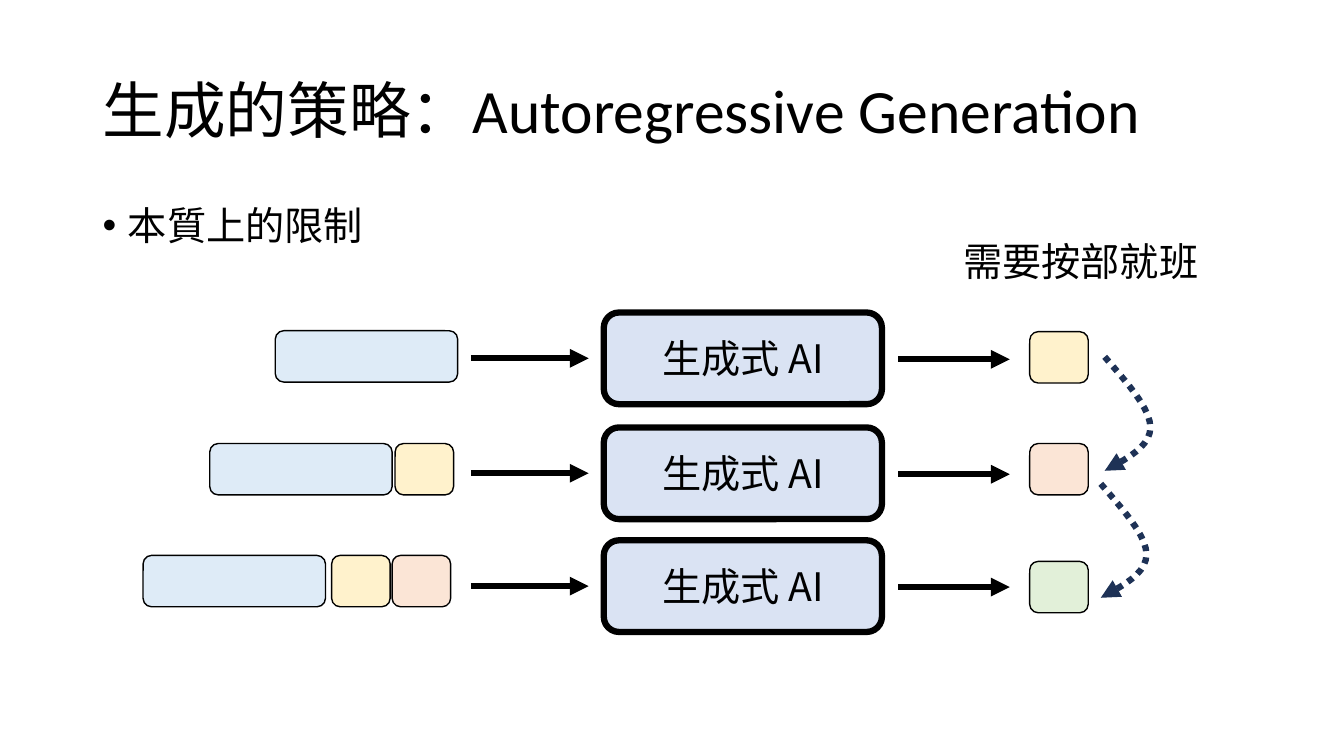
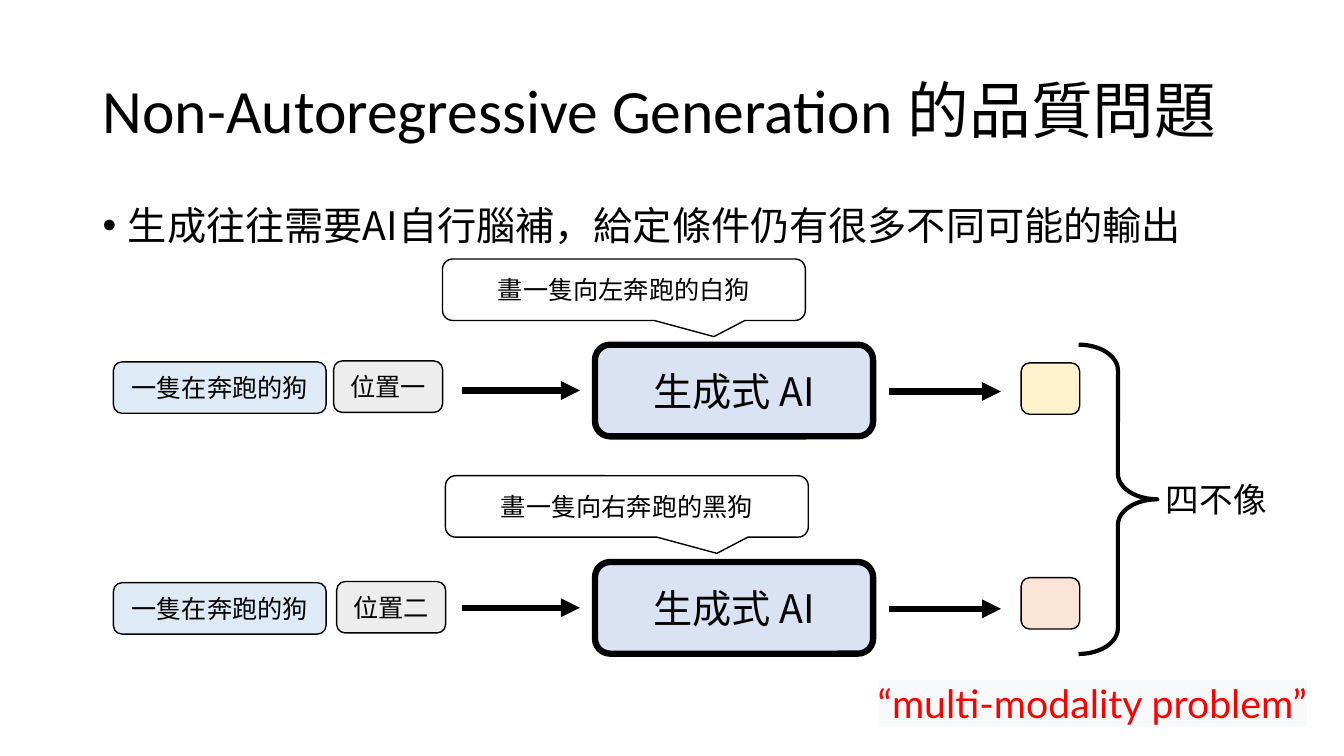
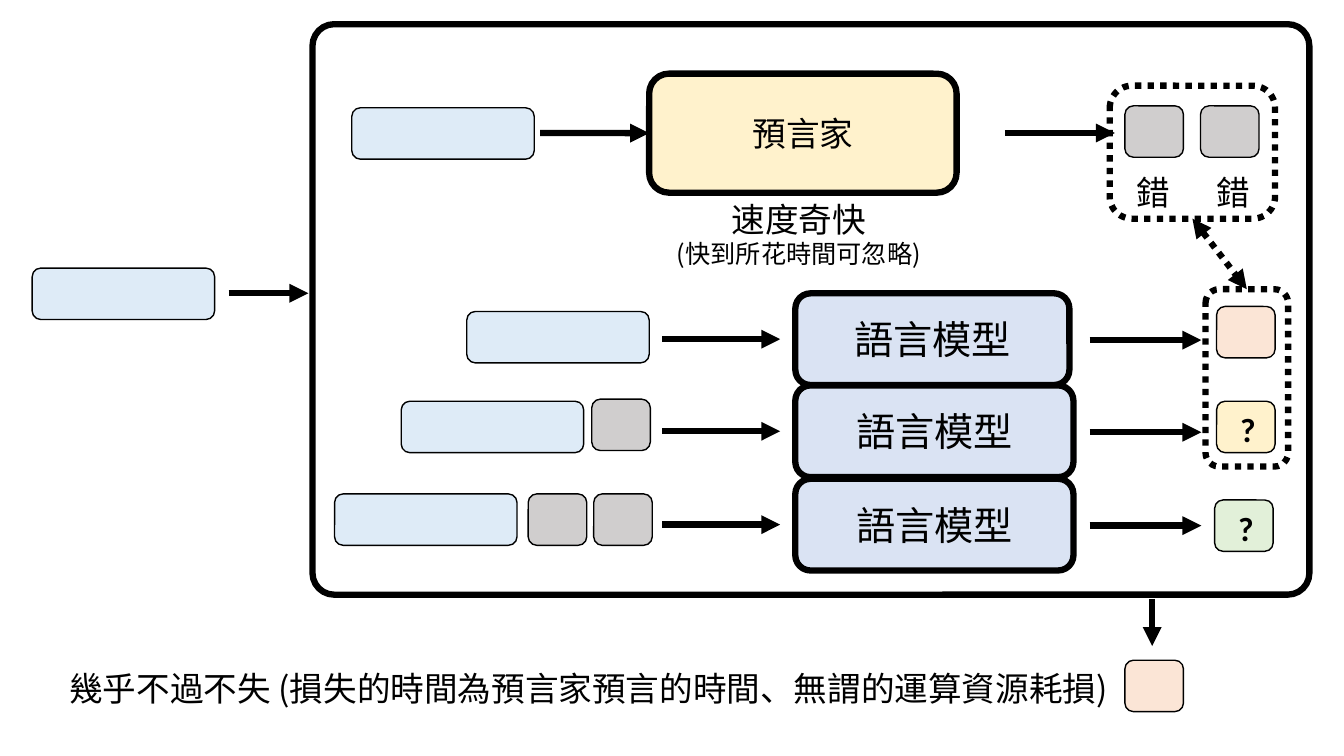
from lxml import etree
from pptx import Presentation
from pptx.dml.color import RGBColor
from pptx.enum import dml, shapes, text
from pptx.oxml.ns import qn
from pptx.util import Pt

# Shared colours, fonts and sizes
BLACK = RGBColor(0x00, 0x00, 0x00)
RED = RGBColor(0xFF, 0x00, 0x00)
NAVY = RGBColor(0x1E, 0x32, 0x56)
BLUE = RGBColor(0xDE, 0xEB, 0xF7)
LAVENDER = RGBColor(0xDA, 0xE3, 0xF3)
YELLOW = RGBColor(0xFF, 0xF2, 0xCC)
ORANGE = RGBColor(0xFB, 0xE5, 0xD6)
GREEN = RGBColor(0xE2, 0xF0, 0xD9)
PALE_GRAY = RGBColor(0xED, 0xED, 0xED)
GRAY = RGBColor(0xD0, 0xCE, 0xCE)
HIGHLIGHT = RGBColor(0xF8, 0xF9, 0xFA)
CJK, LATIN = "Noto Sans CJK SC", "Calibri"
ROUND = shapes.MSO_SHAPE.ROUNDED_RECTANGLE
CALLOUT = shapes.MSO_SHAPE.ROUNDED_RECTANGULAR_CALLOUT
BRACE = shapes.MSO_SHAPE.RIGHT_BRACE
CENTER, LEFT = text.PP_ALIGN.CENTER, text.PP_ALIGN.LEFT
DOTS = dml.MSO_LINE.ROUND_DOT
THICK = 4.5
TOKEN_W, PROMPT_W, BLOCK_H = 41.8, 130.3, 36.7
MODEL_W, MODEL_H = 198.7, 65.5


def write(p, words, size, name=CJK, color=BLACK, **extra):
    r = p.add_run()
    r.text = words
    r.font.color.rgb = color
    for key, value in {"size": Pt(size), "name": name, **extra}.items():
        setattr(r.font, key, value)
    etree.SubElement(r._r.get_or_add_rPr(), qn("a:ea"), typeface=CJK)
    return r


def box(s, kind, x, y, w, h, fill=None, words="", size=28, line=1,
        dash=None, adj=(), align=CENTER, **fmt):
    """Add a preset shape, or a text box when kind is None."""
    place = Pt(x), Pt(y), Pt(w), Pt(h)
    if kind is None:
        sp = s.shapes.add_textbox(*place)
    else:
        sp = s.shapes.add_shape(kind, *place)
        sp.shadow.inherit = False
        sp.line.color.rgb = BLACK
        sp.line.width = Pt(line)
        if dash:
            sp.line.dash_style = dash
        if fill is None:
            sp.fill.background()
        else:
            sp.fill.solid()
            sp.fill.fore_color.rgb = fill
        for i, value in enumerate(adj):
            sp.adjustments[i] = value
        sp.text_frame.vertical_anchor = text.MSO_ANCHOR.MIDDLE
    sp.text_frame.word_wrap = True
    if words:
        p = sp.text_frame.paragraphs[0]
        p.alignment = align
        write(p, words, size, **fmt)
    return sp


prs = Presentation()
prs.slide_width, prs.slide_height = Pt(960), Pt(540)

# Titles and bullets
HEADS = [
    ([("生成的策略：", CJK), ("Autoregressive Generation", LATIN)],
     "本質上的限制"),
    ([("Non-Autoregressive Generation ", LATIN), ("的品質問題", CJK)],
     "生成往往需要AI自行腦補，給定條件仍有很多不同可能的輸出"),
]
for title, bullet in HEADS:
    s = prs.slides.add_slide(prs.slide_layouts[1])
    for sp, top, height, runs, size, anchor in (
            (s.shapes.title, 28.8, 104.4, title, 44, text.MSO_ANCHOR.MIDDLE),
            (s.placeholders[1], 144, 342.7, [(bullet, CJK)], 28, text.MSO_ANCHOR.TOP)):
        sp.left, sp.top, sp.width, sp.height = Pt(66.2), Pt(top), Pt(828), Pt(height)
        tf = sp.text_frame
        tf.auto_size = text.MSO_AUTO_SIZE.NONE
        tf.vertical_anchor = anchor
        p = tf.paragraphs[0]
        for key, value in {"alignment": LEFT, "line_spacing": 0.9,
                           "space_before": Pt(0)}.items():
            setattr(p, key, value)
        for words, name in runs:
            write(p, words, size, name)
    pPr = p._p.get_or_add_pPr()
    pPr.set("marL", str(Pt(18)))
    pPr.set("indent", str(Pt(-18)))
auto, nonauto = prs.slides
oracle = prs.slides.add_slide(prs.slide_layouts[6])

# Model boxes, each with an arrow in and an arrow out
arrows = []
for s, x, y, w, label in (
        (auto, 431.3, 223.2, MODEL_W, "生成式 AI"),
        (auto, 431.3, 305.3, MODEL_W, "生成式 AI"),
        (auto, 431.3, 385.9, MODEL_W, "生成式 AI"),
        (nonauto, 425, 246.2, MODEL_W, "生成式 AI"),
        (nonauto, 425, 401.4, MODEL_W, "生成式 AI"),
        (oracle, 568.1, 209.5, 195.8, "語言模型"),
        (oracle, 568.1, 275.3, MODEL_W, "語言模型"),
        (oracle, 568.1, 342, MODEL_W, "語言模型")):
    box(s, ROUND, x, y, w, MODEL_H, LAVENDER, label, line=THICK)
    mid = y + MODEL_H / 2
    arrows += [(s, x - 95, mid, x - 10.8, mid),
               (s, x + 210.2, mid + 0.7, x + 290, mid + 0.7)]

# Prompts without text
for s, x, y in ((auto, 196.6, 236.2), (auto, 149.8, 316.8), (auto, 102.2, 396.7),
                (oracle, 251.3, 77), (oracle, 333.4, 222.5), (oracle, 286.6, 286.6),
                (oracle, 239, 352.8), (oracle, 23, 191.5)):
    box(s, ROUND, x, y, PROMPT_W, BLOCK_H, BLUE)

# Tokens
for s, x, y, fill in (
        (auto, 282.2, 316.8, YELLOW), (auto, 236.9, 396.7, YELLOW),
        (auto, 280.1, 396.7, ORANGE), (auto, 735.5, 236.9, YELLOW),
        (auto, 735.5, 316.8, ORANGE), (auto, 735.5, 401, GREEN),
        (nonauto, 729.4, 259.2, YELLOW), (nonauto, 729.4, 412.6, ORANGE),
        (oracle, 803.5, 75.6, GRAY), (oracle, 857.5, 75.6, GRAY),
        (oracle, 422.7, 285.1, GRAY), (oracle, 377.3, 352.8, GRAY),
        (oracle, 424.1, 352.8, GRAY), (oracle, 869, 218.9, ORANGE),
        (oracle, 869, 286.6, YELLOW), (oracle, 867.6, 357.1, GREEN),
        (oracle, 803.5, 471.6, ORANGE)):
    box(s, ROUND, x, y, TOKEN_W, BLOCK_H, fill)

# Slide 1: note and curved arrows between outputs
box(auto, None, 681.1, 166.3, 201.6, 41, words="需要按部就班", align=LEFT)
lines = []
STEPS = 10
for x, y in ((789.1, 254.9), (786.3, 345.6)):
    pts = []
    for curve in (((0, 0), (16, 18.7), (32.6, 36.7), (32.6, 50.4)),
                  ((32.6, 50.4), (32.6, 64.1), (16, 72.7), (0, 81.4))):
        for i in range(1, STEPS + 1):
            t = i / STEPS
            weights = (1 - t) ** 3, 3 * t * (1 - t) ** 2, 3 * t * t * (1 - t), t ** 3
            dx, dy = (sum(k * c for k, c in zip(weights, axis)) for axis in zip(*curve))
            pts.append((Pt(x + dx), Pt(y + dy)))
    fb = auto.shapes.build_freeform(Pt(x), Pt(y))
    fb.add_line_segments(pts, close=False)
    sp = fb.convert_to_shape()
    sp.fill.background()
    lines.append((sp, NAVY, True, False))

# Slide 2: labelled inputs, callouts, brace and remarks
for prompt_y, place_x, place_y, place, say_x, say_y, say in (
        (258.5, 238.3, 257.8, "位置一", 316.1, 185, "畫一隻向左奔跑的白狗"),
        (416.2, 240.5, 415.4, "位置二", 318.2, 339.8, "畫一隻向右奔跑的黑狗")):
    box(nonauto, ROUND, 81, prompt_y, 151.9, BLOCK_H, BLUE, "一隻在奔跑的狗", 18)
    box(nonauto, ROUND, place_x, place_y, 77.8, BLOCK_H, PALE_GRAY, place, 18)
    box(nonauto, CALLOUT, say_x, say_y, 259.2, 43.9, None, say, 18,
        adj=(0.248, 0.763, 0.167))
box(nonauto, BRACE, 770.4, 246.2, 56.2, 221, line=3, adj=(0.325, 0.5))
box(nonauto, None, 825.8, 338.4, 130, 36, words="四不像", size=24, align=LEFT)
sp = box(nonauto, None, 619.9, 481.7, 338, 41, words="“multi-modality problem”",
         align=LEFT, name="Lato", color=RED)
rPr = sp.text_frame.paragraphs[0].runs[0]._r.rPr
mark = etree.Element(qn("a:highlight"))
etree.SubElement(mark, qn("a:srgbClr"), val=str(HIGHLIGHT))
rPr.find(qn("a:latin")).addprevious(mark)

# Slide 3: frame, prophet and texts
box(oracle, ROUND, 223.2, 17.3, 712.1, 407.5, line=THICK, adj=(0.038,))
prophet = box(oracle, ROUND, 463.7, 52.6, 219.6, 85, YELLOW, "預言家", 24, THICK)
sp = box(oracle, None, 460.8, 138.2, 219.6, 58.3, words="速度奇快", size=24)
p = sp.text_frame.add_paragraph()
p.alignment = CENTER
write(p, "(快到所花時間可忽略)", 18)
box(oracle, None, 42.5, 473.8, 821.5, 36, size=24, align=LEFT,
    words="幾乎不過不失 (損失的時間為預言家預言的時間、無謂的運算資源耗損)")
for x in (802.8, 859.7):
    box(oracle, None, x, 119.5, 41.8, 36, words="錯", size=24)
for x, y in ((859.7, 288.7), (858.2, 359.3)):
    box(oracle, None, x, y, 63.4, 36, words="?", size=24, name=LATIN, bold=True)
guesses = box(oracle, ROUND, 792.7, 61.2, 118.1, 95, line=THICK, dash=DOTS)
checked = box(oracle, ROUND, 861.1, 206.6, 59, 126.7, line=THICK, dash=DOTS)

# Straight arrows
arrows += [(oracle, 163.4, 209.5, 220.3, 209.5),
           (oracle, 823, 427.7, 823, 461.5),
           (oracle, 717.8, 95, 796.3, 95)]
for s, *ends in arrows:
    sp = s.shapes.add_connector(shapes.MSO_CONNECTOR.STRAIGHT, *map(Pt, ends))
    lines.append((sp, BLACK, False, False))
sp = oracle.shapes.add_connector(shapes.MSO_CONNECTOR.STRAIGHT,
                                 Pt(385.9), Pt(95), Pt(463.7), Pt(95))
sp.end_connect(prophet, 1)
lines.append((sp, BLACK, False, False))
sp = oracle.shapes.add_connector(shapes.MSO_CONNECTOR.STRAIGHT, 0, 0, 0, 0)
sp.begin_connect(guesses, 2)
sp.end_connect(checked, 0)
lines.append((sp, BLACK, True, True))

# Line style and arrowheads
for sp, color, dotted, double in lines:
    sp.line.color.rgb = color
    sp.line.width = Pt(THICK)
    if dotted:
        sp.line.dash_style = DOTS
    spPr = sp._element.spPr
    for tag in ("a:headEnd", "a:tailEnd") if double else ("a:tailEnd",):
        etree.SubElement(spPr.find(qn("a:ln")), qn(tag), type="triangle")
    etree.SubElement(spPr, qn("a:effectLst"))

prs.save("out.pptx")
